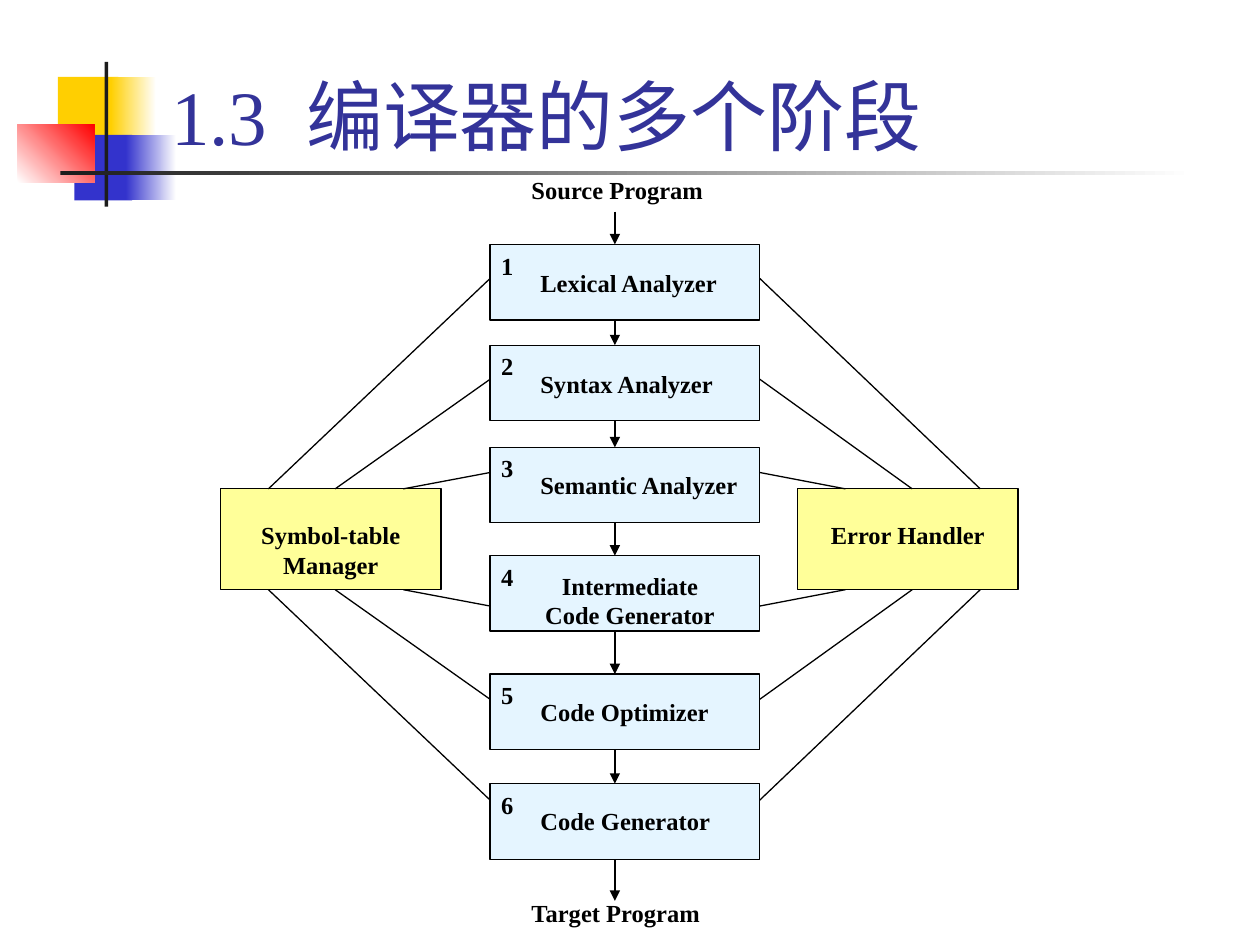
from lxml import etree
from pptx import Presentation
from pptx.dml.color import RGBColor
from pptx.enum.shapes import MSO_CONNECTOR, MSO_SHAPE
from pptx.enum.text import MSO_ANCHOR, PP_ALIGN
from pptx.oxml.ns import qn
from pptx.util import Inches, Pt

RECT, STRAIGHT = MSO_SHAPE.RECTANGLE, MSO_CONNECTOR.STRAIGHT
LEFT, CENTER = PP_ALIGN.LEFT, PP_ALIGN.CENTER
TOP, BOTTOM = MSO_ANCHOR.TOP, MSO_ANCHOR.BOTTOM
FONT = "Times New Roman"
COLORS = {
    "yellow": "FFCF01", "blue": "3333CC", "red": "FF0000", "white": "FFFFFF",
    "dark": "1C1C1C", "title": "333399", "black": "000000",
    "phase": "CCECFF", "service": "FFFF99",
}

# Content
TITLE = "1.3  编译器的多个阶段"
# Decoration: left, top, width, height, colours from start to end, angle
DECORATION = [
    (0.46, 0.61, 0.48, 0.52, ["yellow"], 0),
    (0.88, 0.61, 0.36, 0.52, ["yellow", "white"], 0),
    (0.59, 1.07, 0.46, 0.52, ["blue"], 0),
    (1.0, 1.07, 0.4, 0.52, ["blue", "white"], 0),
    (0.14, 0.99, 0.61, 0.46, ["white", "red"], 45),
    (0.83, 0.49, 0.03, 1.15, ["dark"], 0),
    (0.48, 1.36, 9.0, 0.03, ["dark", "white"], 0),
]
# Phases: name, box top, label offset from the top, label width and height, alignment
PHASES = [
    ("Lexical Analyzer", 1.94, 0.14, 1.62, 0.57, LEFT),
    ("Syntax Analyzer", 2.74, 0.14, 1.62, 0.34, LEFT),
    ("Semantic Analyzer", 3.55, 0.13, 2.21, 0.34, LEFT),
    ("Intermediate Code Generator", 4.41, 0.07, 1.62, 0.57, CENTER),
    ("Code Optimizer", 5.35, 0.13, 1.62, 0.34, LEFT),
    ("Code Generator", 6.22, 0.13, 1.62, 0.34, LEFT),
]
ENDS = [("Source Program", 1.34), ("Target Program", 7.08)]
# Services: name, box left, label height
SERVICES = [("Symbol-table Manager", 1.75, 0.57), ("Error Handler", 6.33, 0.34)]

# Layout
PHASE_LEFT, PHASE_WIDTH, PHASE_HEIGHT = 3.89, 2.14, 0.6
SERVICE_TOP, SERVICE_WIDTH, SERVICE_HEIGHT = 3.88, 1.75, 0.8
FLOW_X, FLOW_START, FLOW_END = 4.88, 1.68, 7.15
# Link ends, from the outermost link to the innermost
LINK_OFFSETS = [0.38, 0.91, 1.45]
UPPER_LINKS = [2.21, 3.01, 3.75]
LOWER_LINKS = [6.35, 5.55, 4.81]


def color(name):
    return RGBColor.from_string(COLORS[name])


def add_box(parent, left, top, width, height, fills, angle=0, outline=False, alpha=None):
    box = parent.add_shape(RECT, *map(Inches, (left, top, width, height)))
    box.shadow.inherit = False
    if len(fills) == 1:
        box.fill.solid()
        box.fill.fore_color.rgb = color(fills[0])
    else:
        box.fill.gradient()
        box.fill.gradient_angle = angle
        for position, (stop, name) in enumerate(zip(box.fill.gradient_stops, fills)):
            stop.position = position
            stop.color.rgb = color(name)
    if alpha:
        tint = box.fill._xPr.find(qn("a:solidFill"))[0]
        etree.SubElement(tint, qn("a:alpha")).set("val", str(alpha * 1000))
    if outline:
        box.line.color.rgb = color("black")
        box.line.width = Pt(0.75)
    else:
        box.line.fill.background()


def add_text(parent, text, left, top, width, height, align=LEFT, size=14,
             ink="black", bold=True, anchor=TOP, before=8.8):
    frame = parent.add_textbox(*map(Inches, (left, top, width, height))).text_frame
    frame.word_wrap = True
    frame.vertical_anchor = anchor
    para = frame.paragraphs[0]
    para.alignment = align
    para.space_before = Pt(before)
    span = para.add_run()
    span.text = text
    for name, value in {"name": FONT, "size": Pt(size), "bold": bold}.items():
        setattr(span.font, name, value)
    span.font.color.rgb = color(ink)


def add_line(parent, start, end, arrow=False):
    line = parent.add_connector(STRAIGHT, *map(Inches, (*start, *end)))
    line.line.color.rgb = color("black")
    line.line.width = Pt(0.75)
    if arrow:
        etree.SubElement(line.line._get_or_add_ln(), qn("a:tailEnd")).set("type", "triangle")
    etree.SubElement(line._element.spPr, qn("a:effectLst"))


def main():
    deck = Presentation()
    deck.slide_width, deck.slide_height = Inches(10), Inches(7.5)
    page = deck.slides.add_slide(deck.slide_layouts[6])

    # Decoration and title
    for left, top, width, height, fills, angle in DECORATION:
        add_box(page.shapes, left, top, width, height, fills, angle)
    add_text(page.shapes, TITLE, 1.26, 0.08, 8.52, 1.25, size=44, ink="title",
             bold=False, anchor=BOTTOM, before=0)

    diagram = page.shapes.add_group_shape().shapes

    # Numbered phases between source and target
    for name, top in ENDS:
        add_text(diagram, name, 4.12, top, 2.06, 0.34)
    for number, (name, top, offset, width, height, align) in enumerate(PHASES, 1):
        add_box(diagram, PHASE_LEFT, top, PHASE_WIDTH, PHASE_HEIGHT, ["phase"],
                outline=True, alpha=50)
        add_text(diagram, name, 4.19, top + offset, width, height, align)
        add_text(diagram, str(number), 3.88, top, 0.23, 0.34)

    # Flow arrows from each phase to the next
    tops = [phase[1] for phase in PHASES]
    starts = [FLOW_START] + [top + PHASE_HEIGHT for top in tops]
    for start, end in zip(starts, tops + [FLOW_END]):
        add_line(diagram, (FLOW_X, start), (FLOW_X, end), arrow=True)

    # Services on both sides, each linked to every phase
    for name, left, height in SERVICES:
        add_box(diagram, left, SERVICE_TOP, SERVICE_WIDTH, SERVICE_HEIGHT, ["service"],
                outline=True)
        add_text(diagram, name, left + 0.15, SERVICE_TOP + 0.2, 1.45, height, CENTER)
        on_left = left < PHASE_LEFT
        phase_x = PHASE_LEFT if on_left else PHASE_LEFT + PHASE_WIDTH
        offsets = LINK_OFFSETS if on_left else LINK_OFFSETS[::-1]
        for edge, links in ((SERVICE_TOP, UPPER_LINKS),
                            (SERVICE_TOP + SERVICE_HEIGHT, LOWER_LINKS)):
            for offset, phase_y in zip(offsets, links):
                add_line(diagram, (phase_x, phase_y), (left + offset, edge))

    deck.save("out.pptx")


if __name__ == "__main__":
    main()
